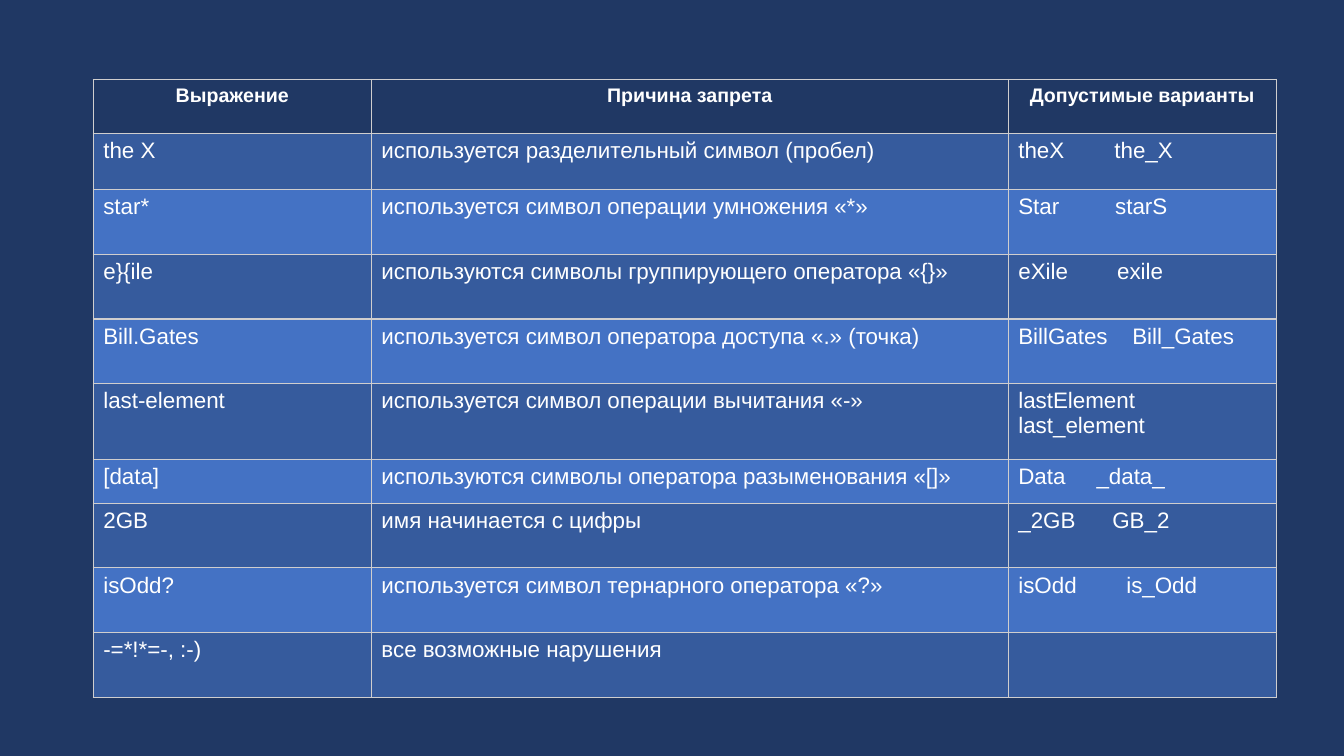
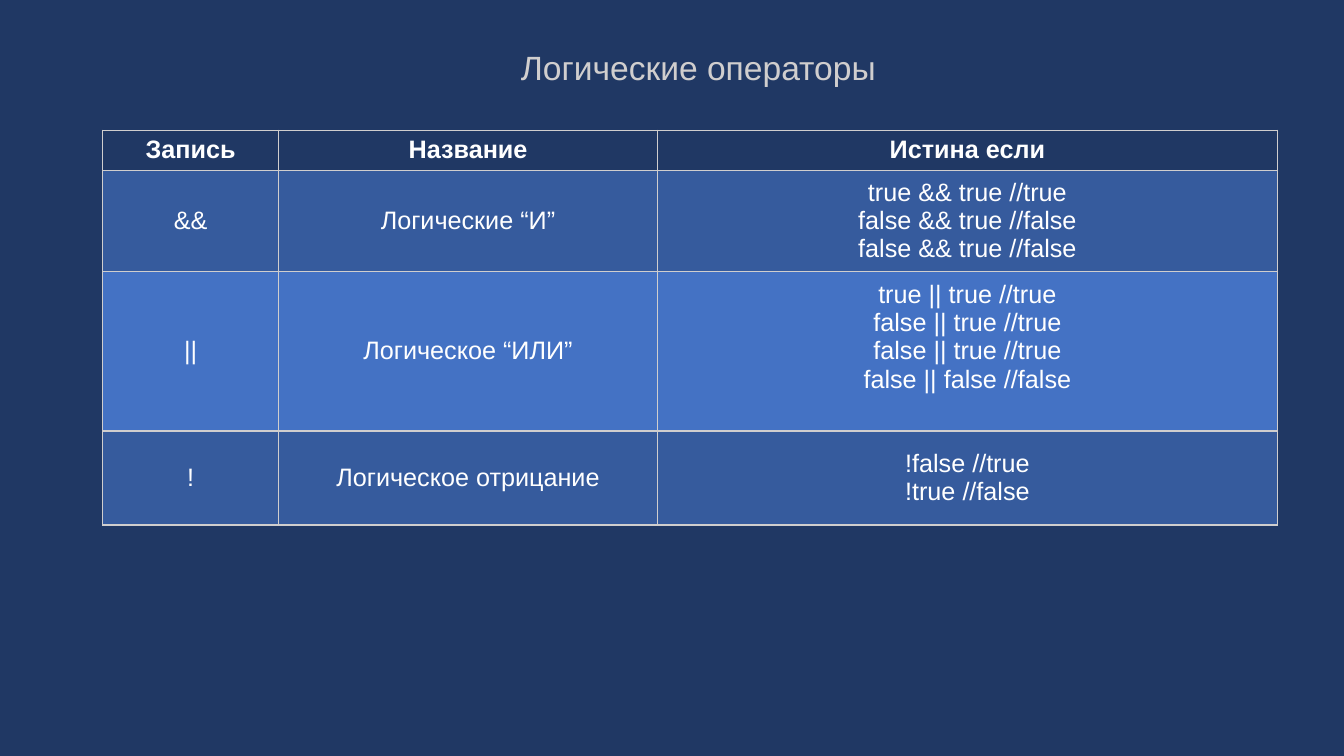
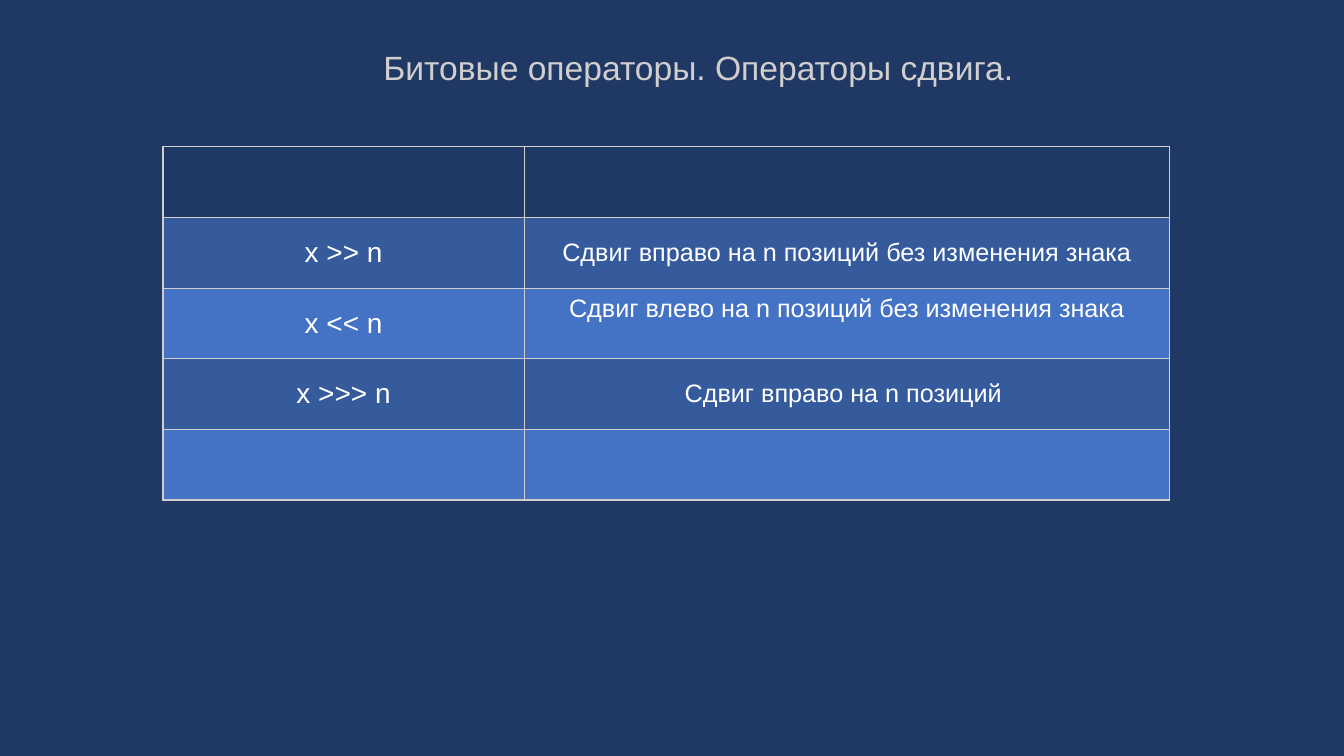
from dataclasses import dataclass
from typing import Any

from lxml.etree import SubElement
from pptx import Presentation
from pptx.dml.color import RGBColor as Rgb
from pptx.enum.text import MSO_ANCHOR as Anchor, PP_ALIGN as Align
from pptx.oxml.ns import qn
from pptx.slide import Slide
from pptx.util import Cm, Pt


@dataclass(frozen=True)
class Theme:
    font: str = "Arial"
    back: str = "203864"
    dark: str = "365B9D"
    light: str = "4472C4"
    edge: str = "D0CECE"
    text: str = "FFFFFF"
    title: int = 24
    large: int = 20
    body: int = 18
    small: int = 16
    tiny: int = 14
    rule: float = 1


THEME = Theme()


@dataclass(frozen=True)
class Row:
    """Lengths in cm; tab and lift apply to the last cell."""
    height: float
    cells: tuple[str, ...]
    tab: float = 0
    lift: float = 0


@dataclass(frozen=True)
class Grid:
    """Lengths in cm; the first row is the header."""
    left: float
    top: float
    cols: tuple[float, ...]
    sizes: tuple[int, ...]
    head: int
    rows: tuple[Row, ...]
    align: Align = Align.CENTER
    anchor: Anchor = Anchor.MIDDLE


@dataclass(frozen=True)
class Page:
    title: str
    grid: Grid


PAGES = (
    Page("", Grid(
        2.35, 2, (7.01, 16.05, 6.75), (THEME.small,) * 3, THEME.tiny, (
            Row(1.36, ("Выражение", "Причина запрета", "Допустимые варианты")),
            Row(1.42, ("the X", "используется разделительный символ (пробел)",
                       "theX\tthe_X"), 2.42),
            Row(1.63, ("star*", "используется символ операции умножения «*»",
                       "Star\tstarS"), 2.44),
            Row(1.63, ("e}{ile", "используются символы группирующего оператора «{}»",
                       "eXile\texile"), 2.49),
            Row(1.63, ("Bill.Gates", "используется символ оператора доступа «.» (точка)",
                       "BillGates\tBill_Gates"), 2.87),
            Row(1.91, ("last-element", "используется символ операции вычитания «-»",
                       "lastElement\nlast_element")),
            Row(1.1, ("[data]", "используются символы оператора разыменования «[]»",
                      "Data\t_data_"), 1.97),
            Row(1.63, ("2GB", "имя начинается с цифры", "_2GB\tGB_2"), 2.37),
            Row(1.63, ("isOdd?", "используется символ тернарного оператора «?»",
                       "isOdd\tis_Odd"), 2.72),
            Row(1.63, ("-=*!*=-, :-)", "все возможные нарушения", "")),
        ), Align.LEFT, Anchor.TOP)),
    Page("Логические операторы", Grid(
        2.59, 3.28, (4.43, 9.55, 15.62), (THEME.body,) * 3, THEME.body, (
            Row(0.96, ("Запись", "Название", "Истина если")),
            Row(2.4, ("&&", "Логические “И”",
                      "true && true //true\nfalse && true //false\n"
                      "false && true //false")),
            Row(3.82, ("||", "Логическое “ИЛИ”",
                       "true || true //true\nfalse || true //true\n"
                       "false || true //true\nfalse || false //false"), lift=0.72),
            Row(2.37, ("!", "Логическое отрицание", "!false //true\n!true //false")),
        ))),
    Page("Битовые операторы. Операторы сдвига.", Grid(
        4.11, 3.7, (9.1, 16.26), (THEME.large, THEME.body), THEME.body, (
            Row(1.78, ("", "")),
            Row(1.78, ("x >> n", "Сдвиг вправо на n позиций без изменения знака")),
            Row(1.78, ("x << n", "Сдвиг влево на n позиций без изменения знака"),
                lift=0.72),
            Row(1.78, ("x >>> n", "Сдвиг вправо на n позиций ")),
            Row(1.78, ("", "")),
        ))),
)


def apply(item: Any, values: dict[str, Any]) -> None:
    for name, value in values.items():
        setattr(item, name, value)


def write(frame: Any, text: str, size: int, color: str, align: Align,
          bold: bool = False, tab: float = 0) -> None:
    """Fill a text frame, one paragraph a line, with an optional tab stop."""
    frame.text = text
    for para in frame.paragraphs:
        para.alignment = align
        if tab:
            stops = SubElement(para._p.get_or_add_pPr(), qn("a:tabLst"))
            SubElement(stops, qn("a:tab"), pos=str(int(Cm(tab))), algn="l")
        for run in para.runs:
            apply(run.font, {"name": THEME.font, "size": Pt(size), "bold": bold})
            run.font.color.rgb = Rgb.from_string(color)


def frame_cell(cell: Any) -> None:
    """Draw the four cell borders; they must precede the fill."""
    props = cell._tc.get_or_add_tcPr()
    for side in ("lnL", "lnR", "lnT", "lnB"):
        line = SubElement(props, qn(f"a:{side}"), w=str(int(Pt(THEME.rule))))
        fill = SubElement(line, qn("a:solidFill"))
        SubElement(fill, qn("a:srgbClr"), val=THEME.edge)


def add_title(slide: Slide, text: str) -> None:
    box = slide.shapes.add_textbox(Cm(3), Cm(1.12), Cm(29.2), Cm(1.27))
    frame = box.text_frame
    apply(frame, {"word_wrap": True, "vertical_anchor": Anchor.MIDDLE})
    write(frame, text, THEME.title, THEME.edge, Align.CENTER)
    frame.paragraphs[0].line_spacing = 0.9


def add_grid(slide: Slide, grid: Grid) -> None:
    table = slide.shapes.add_table(
        len(grid.rows), len(grid.cols), Cm(grid.left), Cm(grid.top),
        Cm(sum(grid.cols)), Cm(sum(row.height for row in grid.rows))).table
    apply(table, {"first_row": False, "horz_banding": False})
    for col, width in zip(table.columns, grid.cols):
        col.width = Cm(width)
    last = len(grid.cols) - 1
    for i, row in enumerate(grid.rows):
        table.rows[i].height = Cm(row.height)
        head = i == 0
        color = THEME.back if head else (THEME.light, THEME.dark)[i % 2]
        for j, text in enumerate(row.cells):
            cell = table.cell(i, j)
            frame_cell(cell)
            cell.fill.solid()
            cell.fill.fore_color.rgb = Rgb.from_string(color)
            cell.vertical_anchor = Anchor.TOP if head else grid.anchor
            if row.lift and j == last:
                cell.margin_bottom += Cm(row.lift)
            write(cell.text_frame, text, grid.head if head else grid.sizes[j],
                  THEME.text, Align.CENTER if head else grid.align, head,
                  row.tab if j == last else 0)


def main() -> None:
    deck = Presentation()
    apply(deck, {"slide_width": Cm(33.87), "slide_height": Cm(19.05)})
    back = deck.slide_master.background.fill
    back.solid()
    back.fore_color.rgb = Rgb.from_string(THEME.back)
    for page in PAGES:
        slide = deck.slides.add_slide(deck.slide_layouts[6])
        if page.title:
            add_title(slide, page.title)
        add_grid(slide, page.grid)
    deck.save("out.pptx")


if __name__ == "__main__":
    main()
